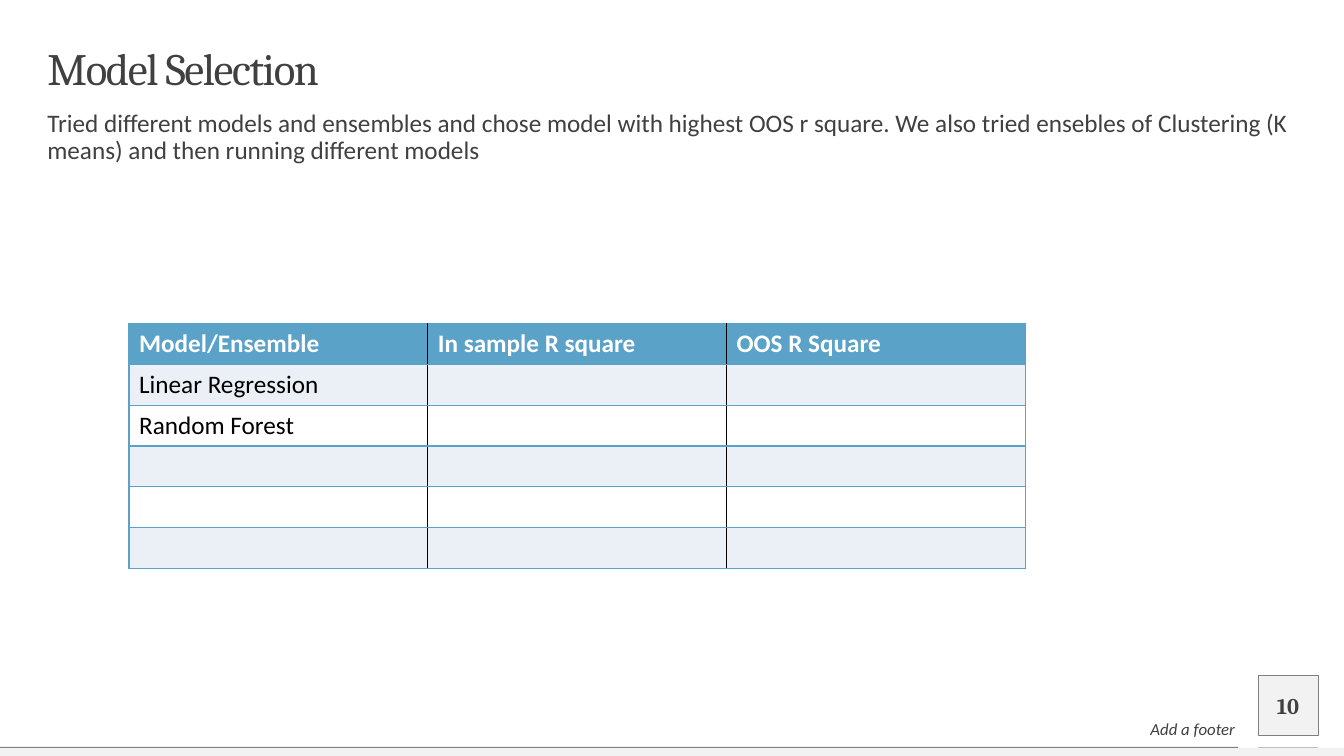
from lxml import etree
from pptx import Presentation
from pptx.dml.color import RGBColor
from pptx.enum import shapes, text
from pptx.oxml.ns import qn
from pptx.util import Inches, Pt

INK = RGBColor(0x40, 0x40, 0x40)
BLACK = RGBColor(0x00, 0x00, 0x00)
WHITE = RGBColor(0xFF, 0xFF, 0xFF)
PANEL = RGBColor(0xF2, 0xF2, 0xF2)
RULE = RGBColor(0x7F, 0x7F, 0x7F)
PALE_RULE = RGBColor(0xBF, 0xBF, 0xBF)
BLUE = RGBColor(0x5A, 0xA2, 0xC8)
BAND = RGBColor(0xEA, 0xF0, 0xF5)


def add_text(words, left, top, width, height, font_name, size, anchor, align):
    """Add a text box without margins and return its paragraph and run."""
    box = page.shapes.add_textbox(Inches(left), Inches(top), Inches(width), Inches(height))
    frame = box.text_frame
    frame.word_wrap = True
    frame.vertical_anchor = anchor
    frame.margin_left = frame.margin_right = frame.margin_top = frame.margin_bottom = 0
    frame.text = words
    para = frame.paragraphs[0]
    para.alignment = align
    span = para.runs[0]
    span.font.name = font_name
    span.font.size = Pt(size)
    span.font.color.rgb = INK
    return para, span


def add_border(cell, side, color, points):
    line = etree.SubElement(cell._tc.get_or_add_tcPr(), qn(f"a:ln{side}"), w=str(Pt(points)))
    fill = etree.SubElement(line, qn("a:solidFill"))
    etree.SubElement(fill, qn("a:srgbClr"), val=str(color))


deck = Presentation()
deck.slide_width = Inches(13.33)
deck.slide_height = Inches(7.5)
page = deck.slides.add_slide(deck.slide_layouts[6])

# Footer panel, bottom strip and rules
for left, top, width, height, color, outlined in (
    (12.48, 6.7, 0.59, 0.59, PANEL, True),
    (0, 7.42, 13.33, 0.08, PANEL, False),
    (0, 7.41, 12.28, 0.01, RULE, False),
):
    block = page.shapes.add_shape(
        shapes.MSO_SHAPE.RECTANGLE, Inches(left), Inches(top), Inches(width), Inches(height))
    block.shadow.inherit = False
    block.fill.solid()
    block.fill.fore_color.rgb = color
    if outlined:
        block.line.color.rgb = RULE
        block.line.width = Pt(0.25)
    else:
        block.line.fill.background()

number_rule = page.shapes.add_connector(
    shapes.MSO_CONNECTOR.STRAIGHT, Inches(12.48), Inches(7.41), Inches(13.07), Inches(7.41))
number_rule.line.color.rgb = PALE_RULE
number_rule.line.width = Pt(0.5)
etree.SubElement(number_rule._element.spPr, qn("a:effectLst"))

# Title, body, footer and slide number
ANCHOR, ALIGN = text.MSO_ANCHOR, text.PP_ALIGN
para, span = add_text("Model Selection", 0.47, 0.47, 12.4, 0.47,
                      "Cambria", 32, ANCHOR.MIDDLE, ALIGN.LEFT)
para.line_spacing = 0.9
span.font._element.set("spc", "-100")

para, span = add_text(
    "Tried different models and ensembles and chose model with highest OOS r square. "
    "We also tried ensebles of Clustering (K means) and then running different models",
    0.47, 1.1, 12.4, 0.39, "Calibri", 18, ANCHOR.TOP, ALIGN.LEFT)
para.line_spacing = 0.9

para, span = add_text("Add a footer", 7.75, 7.1, 4.5, 0.23,
                      "Calibri", 12, ANCHOR.BOTTOM, ALIGN.RIGHT)
span.font.italic = True

para, span = add_text("10", 12.48, 6.8, 0.59, 0.4,
                      "Cambria", 16, ANCHOR.MIDDLE, ALIGN.CENTER)
span.font.bold = True

# Model table
ROWS = [
    ("Model/Ensemble", "In sample R square", "OOS R Square"),
    ("Linear Regression", "", ""),
    ("Random Forest", "", ""),
    ("", "", ""),
    ("", "", ""),
    ("", "", ""),
]
table = page.shapes.add_table(
    len(ROWS), 3, Inches(1.28), Inches(3.21), Inches(8.89), Inches(2.43)).table
for row_index, row in enumerate(ROWS):
    header = row_index == 0
    for column_index, words in enumerate(row):
        cell = table.cell(row_index, column_index)
        edges = {"L": column_index == 0, "R": column_index == 2, "T": True, "B": True}
        for side, blue in edges.items():
            add_border(cell, side, BLUE if blue else BLACK, 1 if blue else 0.75)
        cell.fill.solid()
        cell.fill.fore_color.rgb = BLUE if header else BAND if row_index % 2 else WHITE
        cell.text = words
        para = cell.text_frame.paragraphs[0]
        para.font.size = Pt(18)
        for span in para.runs:
            span.font.name = "Calibri"
            span.font.size = Pt(18)
            span.font.bold = header
            span.font.color.rgb = WHITE if header else BLACK

deck.save("out.pptx")
